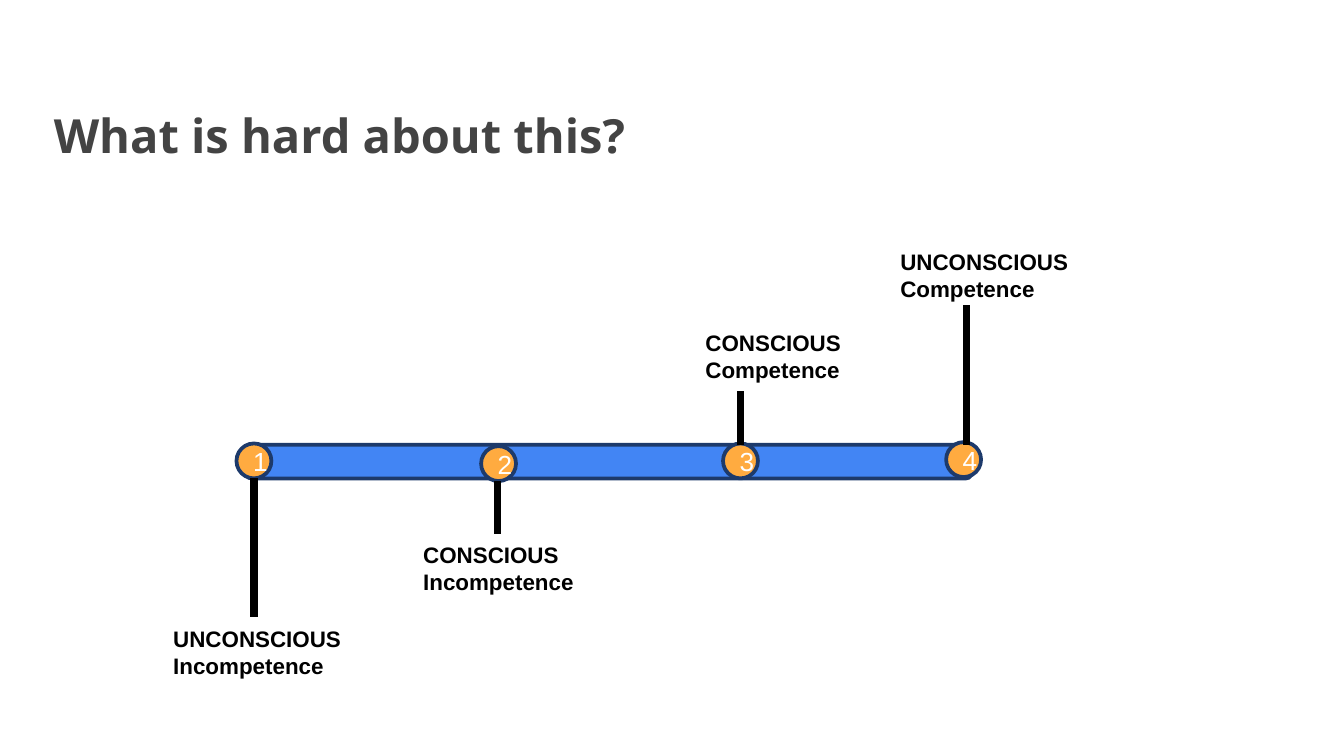
from lxml import etree
from pptx import Presentation
from pptx import util as u
from pptx.dml.color import RGBColor
from pptx.enum import shapes, text
from pptx.oxml.ns import qn

COLORS = {
    "title": "434343",
    "bar": "4285F4",
    "marker": "FFAB40",
    "outline": "1D3A6B",
    "ink": "000000",
    "light": "FFFFFF",
}
FORMATS = {
    "title": {"name": "Open Sans", "size": u.Pt(25.2), "bold": True},
    "number": {"name": "Arial", "size": u.Pt(14), "bold": False},
    "label": {"name": "Arial", "size": u.Pt(12), "bold": True},
}
SLIDE_WIDTH = 10
MARKER_SIZE = 0.26


class SlideBuilder:
    def __init__(self, slide):
        self.slide = slide

    def inches(self, *lengths):
        return [u.Inches(length) for length in lengths]

    def color(self, name):
        return RGBColor.from_string(COLORS[name])

    def format_text(self, frame, style, color, align=text.PP_ALIGN.LEFT):
        for paragraph in frame.paragraphs:
            paragraph.alignment = align
            for run in paragraph.runs:
                for key, value in FORMATS[style].items():
                    setattr(run.font, key, value)
                run.font.color.rgb = self.color(color)

    def title(self, wording, left, top, width, height):
        shape = self.slide.shapes.title
        box = self.inches(left, top, width, height)
        for key, value in zip(("left", "top", "width", "height"), box):
            setattr(shape, key, value)
        frame = shape.text_frame
        frame.text = wording
        frame_format = {
            "margin_left": u.Inches(0.1),
            "margin_right": u.Inches(0.1),
            "margin_top": u.Inches(0.1),
            "margin_bottom": u.Inches(0.1),
            "vertical_anchor": text.MSO_ANCHOR.MIDDLE,
            "auto_size": text.MSO_AUTO_SIZE.NONE,
        }
        for key, value in frame_format.items():
            setattr(frame, key, value)
        self.format_text(frame, "title", "title")

    def outlined(self, kind, fill, left, top, width, height):
        shape = self.slide.shapes.add_shape(kind, *self.inches(left, top, width, height))
        shape.shadow.inherit = False
        shape.fill.solid()
        shape.fill.fore_color.rgb = self.color(fill)
        shape.line.color.rgb = self.color("outline")
        shape.line.width = u.Pt(2)
        return shape

    def bar(self, left, top, width, height):
        self.outlined(shapes.MSO_SHAPE.ROUNDED_RECTANGLE, "bar", left, top, width, height)

    def marker(self, number, left, top):
        shape = self.outlined(
            shapes.MSO_SHAPE.OVAL, "marker", left, top, MARKER_SIZE, MARKER_SIZE
        )
        frame = shape.text_frame
        frame.text = str(number)
        frame.vertical_anchor = text.MSO_ANCHOR.MIDDLE
        self.format_text(frame, "number", "light", text.PP_ALIGN.CENTER)

    def stem(self, x, top, bottom):
        line = self.slide.shapes.add_connector(
            shapes.MSO_CONNECTOR.STRAIGHT, *self.inches(x, top, x, bottom)
        )
        line.line.color.rgb = self.color("ink")
        line.line.width = u.Pt(4)
        etree.SubElement(line._element.spPr, qn("a:effectLst"))

    def label(self, wording, left, top):
        shape = self.slide.shapes.add_textbox(*self.inches(left, top, 1.89, 0.5))
        frame = shape.text_frame
        frame.word_wrap = True
        frame.auto_size = text.MSO_AUTO_SIZE.SHAPE_TO_FIT_TEXT
        frame.text = wording
        self.format_text(frame, "label", "ink")


def main():
    presentation = Presentation()
    presentation.slide_width = u.Inches(SLIDE_WIDTH)
    presentation.slide_height = u.Inches(SLIDE_WIDTH * 9 / 16)
    builder = SlideBuilder(presentation.slides.add_slide(presentation.slide_layouts[5]))

    builder.title("What is hard about this?", 0.3, 0.7, 8.87, 0.6)
    builder.bar(1.83, 3.31, 5.4, 0.25)

    markers = [(1.76, 3.3), (3.58, 3.32), (5.38, 3.3), (7.04, 3.29)]
    for number, (left, top) in enumerate(markers, start=1):
        builder.marker(number, left, top)

    stages = [
        ((1.89, 3.56, 4.59), "UNCONSCIOUS\vIncompetence", (1.19, 4.6)),
        ((3.7, 3.58, 3.97), "CONSCIOUS\vIncompetence", (3.05, 3.98)),
        ((5.51, 2.91, 3.31), "CONSCIOUS\nCompetence", (5.15, 2.4)),
        ((7.19, 2.27, 3.31), "UNCONSCIOUS\nCompetence", (6.6, 1.8)),
    ]
    for stem, wording, position in stages:
        builder.stem(*stem)
        builder.label(wording, *position)

    presentation.save("out.pptx")


if __name__ == "__main__":
    main()
